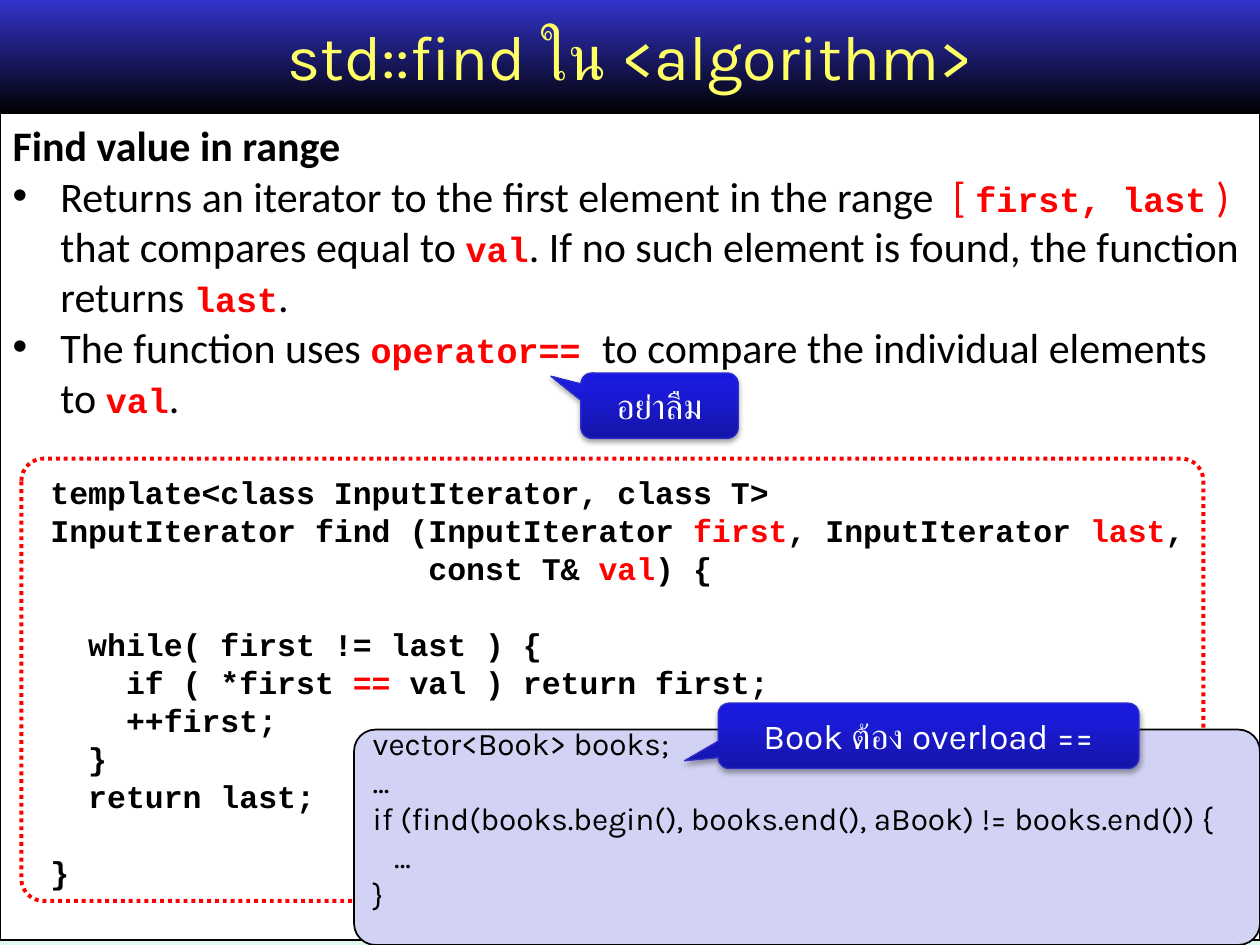
from dataclasses import dataclass, field

import lxml.etree
import pptx
import pptx.dml.color
import pptx.enum.dml
import pptx.enum.shapes
import pptx.enum.text
import pptx.oxml.ns
import pptx.util

Inches, Pt = pptx.util.Inches, pptx.util.Pt
RGB = pptx.dml.color.RGBColor.from_string
qn = pptx.oxml.ns.qn
KIND = pptx.enum.shapes.MSO_SHAPE
ALIGN = pptx.enum.text.PP_ALIGN
ANCHOR = pptx.enum.text.MSO_ANCHOR


def font_format(name, size, color, bold=False):
    return {"name": name, "size": Pt(size), "bold": bold, "color": color}


@dataclass
class Theme:
    ink: str = "000000"
    paper: str = "FFFFFF"
    accent: str = "FF0000"
    sample_fill: str = "D2D2F4"
    callout_line: str = "2E2ECB"
    backdrop: tuple = ((0, "8CF2C6"), (50, "BAF5DA"), (100, "DEF9EC"))
    band: tuple = ((0, "3333CC"), (100, "000000"))
    callout: tuple = ((0, "1515A9"), (80, "1B1BDC"), (100, "1818E1"))
    code_line: float = 21.7
    code_char: float = 0.15
    fonts: dict = field(default_factory=lambda: {
        "title": font_format("Karla", 36, "FFFF66"),
        "heading": font_format("Calibri", 24, "000000", True),
        "text": font_format("Calibri", 24, "000000"),
        "range": font_format("Calibri", 24, "FF0000"),
        "term": font_format("Courier New", 20, "FF0000", True),
        "code": font_format("Courier New", 18, "000000", True),
        "mark": font_format("Courier New", 18, "FF0000", True),
        "sample": font_format("Karla", 18, "000000"),
        "callout": font_format("Karla", 20, "FFFFFF"),
    })


THEME = Theme()

BULLETS = [
    [("Returns an iterator to the first element in the range  ", "text"), ("[ ", "range"),
     ("first, last", "term"), (" ) ", "range"), ("that compares equal to ", "text"),
     ("val", "term"), (". If no such element is found, the function returns ", "text"),
     ("last", "term"), (".", "text")],
    [("The function uses ", "text"), ("operator== ", "term"),
     ("to compare the individual elements to ", "text"), ("val", "term"), (".", "text")],
]

# Columns of indent, points of space before, runs
CODE = [
    (2, 29, [("template<class InputIterator, class T>", "code")]),
    (2, 0, [("InputIterator find (InputIterator ", "code"), ("first", "mark"),
            (", InputIterator ", "code"), ("last", "mark"), (",", "code")]),
    (22, 0, [("const T& ", "code"), ("val", "mark"), (") {", "code")]),
    (4, THEME.code_line, [("while( first != last ) {", "code")]),
    (6, 0, [("if ( *first ", "code"), ("== ", "mark"), ("val ) return first;", "code")]),
    (6, 0, [("++first;", "code")]),
    (4, 0, [("}", "code")]),
    (4, 0, [("return last;", "code")]),
    (2, THEME.code_line, [("}", "code")]),
]

SAMPLE = [
    (0, "vector<Book> books;"),
    (0, "..."),
    (0, "if (find(books.begin(), books.end(), aBook) != books.end()) {"),
    (0.17, "..."),
    (0, "}"),
]


def place(shape, box):
    for side, length in zip(("left", "top", "width", "height"), box):
        setattr(shape, side, Inches(length))


def set_gradient(fill, owner, stops, angle):
    fill.gradient()
    fill.gradient_angle = angle
    stop_list = owner.find(".//" + qn("a:gsLst"))
    for old in list(stop_list):
        stop_list.remove(old)
    for percent, color in stops:
        stop = lxml.etree.SubElement(stop_list, qn("a:gs"), pos=str(percent * 1000))
        lxml.etree.SubElement(stop, qn("a:srgbClr"), val=color)


def set_line(shape, color, width):
    shape.line.color.rgb = RGB(color)
    shape.line.width = Pt(width)


def set_solid(shape, color):
    shape.fill.solid()
    shape.fill.fore_color.rgb = RGB(color)


def add_plain_shape(slide, kind, box, adjustments=()):
    shape = slide.shapes.add_shape(kind, *map(Inches, box))
    shape.shadow.inherit = False
    for index, value in enumerate(adjustments):
        shape.adjustments[index] = value
    return shape


def write(paragraph, runs, left=0.0, hanging=0.0, before=0.0, bullet=None, **formats):
    """Fill a paragraph with (text, font key) runs; lengths in inches, before in points."""
    settings = {"alignment": ALIGN.LEFT, "space_before": Pt(before), **formats}
    for name, value in settings.items():
        setattr(paragraph, name, value)
    properties = paragraph._p.get_or_add_pPr()
    properties.set("marL", str(Inches(left)))
    properties.set("indent", str(-Inches(hanging)))
    if bullet:
        lxml.etree.SubElement(properties, qn("a:buFont"), typeface="Arial")
        lxml.etree.SubElement(properties, qn("a:buChar"), char=bullet)
    else:
        lxml.etree.SubElement(properties, qn("a:buNone"))
    for text, key in runs:
        run = paragraph.add_run()
        run.text = text
        for name, value in THEME.fonts[key].items():
            if name == "color":
                run.font.color.rgb = RGB(value)
            else:
                setattr(run.font, name, value)


def paragraphs_of(frame):
    """Yield the first paragraph, then new ones without end."""
    yield frame.paragraphs[0]
    while True:
        yield frame.add_paragraph()


def build_header(slide, box):
    left, top, width, height = box
    band = add_plain_shape(slide, KIND.RECTANGLE, box)
    set_gradient(band.fill, band._element, THEME.band, 270)
    band.line.fill.background()
    slide.shapes._spTree.insert(2, band._element)

    title = slide.shapes.title
    place(title, (left + 0.75, top + 0.02, width - 1.5, height - 0.08))
    title.text_frame.vertical_anchor = ANCHOR.MIDDLE
    title.text_frame.auto_size = pptx.enum.text.MSO_AUTO_SIZE.NONE
    write(title.text_frame.paragraphs[0], [("std::find ใน <algorithm>", "title")],
          alignment=ALIGN.CENTER)


def build_body(slide, box):
    body = slide.placeholders[1]
    place(body, box)
    set_solid(body, THEME.paper)
    set_line(body, THEME.ink, 0.75)
    frame = body.text_frame
    frame.vertical_anchor = ANCHOR.TOP
    frame.auto_size = pptx.enum.text.MSO_AUTO_SIZE.NONE
    paragraphs = paragraphs_of(frame)
    write(next(paragraphs), [("Find value in range", "heading")])
    for runs in BULLETS:
        write(next(paragraphs), runs, left=0.38, hanging=0.38, bullet="•")
    for columns, before, runs in CODE:
        write(next(paragraphs), runs, left=columns * THEME.code_char, before=before,
              line_spacing=Pt(THEME.code_line))


def build_code_frame(slide, box):
    outline = add_plain_shape(slide, KIND.ROUNDED_RECTANGLE, box, [0.05])
    outline.fill.background()
    set_line(outline, THEME.accent, 2.25)
    outline.line.dash_style = pptx.enum.dml.MSO_LINE.ROUND_DOT


def build_sample(slide, box):
    sample = add_plain_shape(slide, KIND.ROUNDED_RECTANGLE, box, [0.1])
    set_solid(sample, THEME.sample_fill)
    set_line(sample, THEME.ink, 1)
    sample.text_frame.word_wrap = True
    for paragraph, (left, text) in zip(paragraphs_of(sample.text_frame), SAMPLE):
        write(paragraph, [(text, "sample")], left=left)


def build_callout(slide, box, tip, text):
    """Add a shaded callout whose pointer ends at tip, in shares of its size from the centre."""
    callout = add_plain_shape(slide, KIND.ROUNDED_RECTANGULAR_CALLOUT, box, [*tip, 0.17])
    set_gradient(callout.fill, callout._element, THEME.callout, 90)
    set_line(callout, THEME.callout_line, 0.75)
    effects = callout._element.spPr.find(qn("a:effectLst"))
    shadow = lxml.etree.SubElement(effects, qn("a:outerShdw"), blurRad=str(Pt(3.1)),
                                   dist=str(Pt(1.8)), dir="5400000", rotWithShape="0")
    shade = lxml.etree.SubElement(shadow, qn("a:srgbClr"), val=THEME.ink)
    lxml.etree.SubElement(shade, qn("a:alpha"), val="35000")
    callout.text_frame.word_wrap = True
    callout.text_frame.vertical_anchor = ANCHOR.MIDDLE
    write(callout.text_frame.paragraphs[0], [(text, "callout")], alignment=ALIGN.CENTER)


def main():
    deck = pptx.Presentation()
    deck.slide_width, deck.slide_height = Inches(10), Inches(7.5)
    slide = deck.slides.add_slide(deck.slide_layouts[1])
    set_gradient(slide.background.fill, slide._element, THEME.backdrop, 270)
    build_body(slide, (0, 0.9, 10, 6.56))
    build_header(slide, (0, 0, 10, 0.91))
    build_callout(slide, (4.61, 2.96, 1.25, 0.52), (-0.69, -0.45), "อย่าลืม")
    build_code_frame(slide, (0.17, 3.64, 9.38, 3.51))
    build_sample(slide, (2.81, 5.79, 7.19, 1.71))
    build_callout(slide, (5.7, 5.58, 3.34, 0.52), (-0.58, 0.38), "Book ต้อง overload ==")
    deck.save("out.pptx")


if __name__ == "__main__":
    main()
